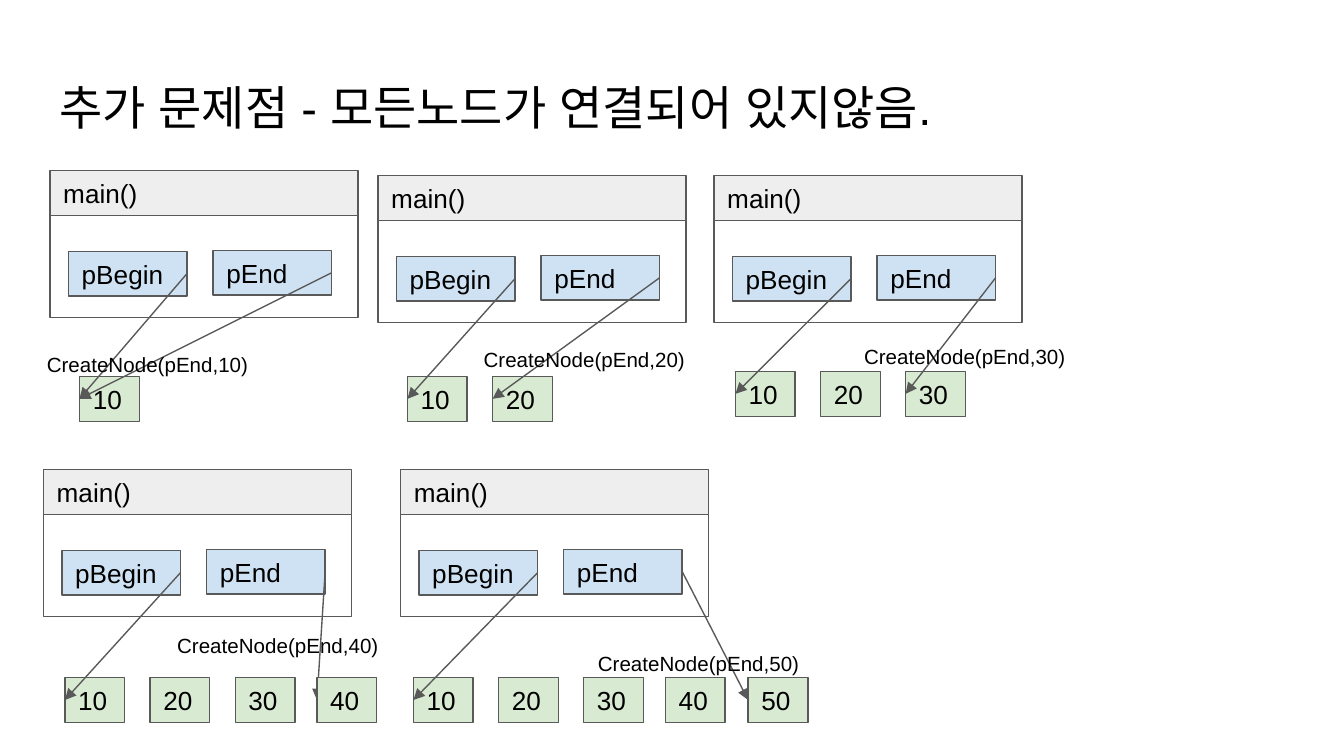
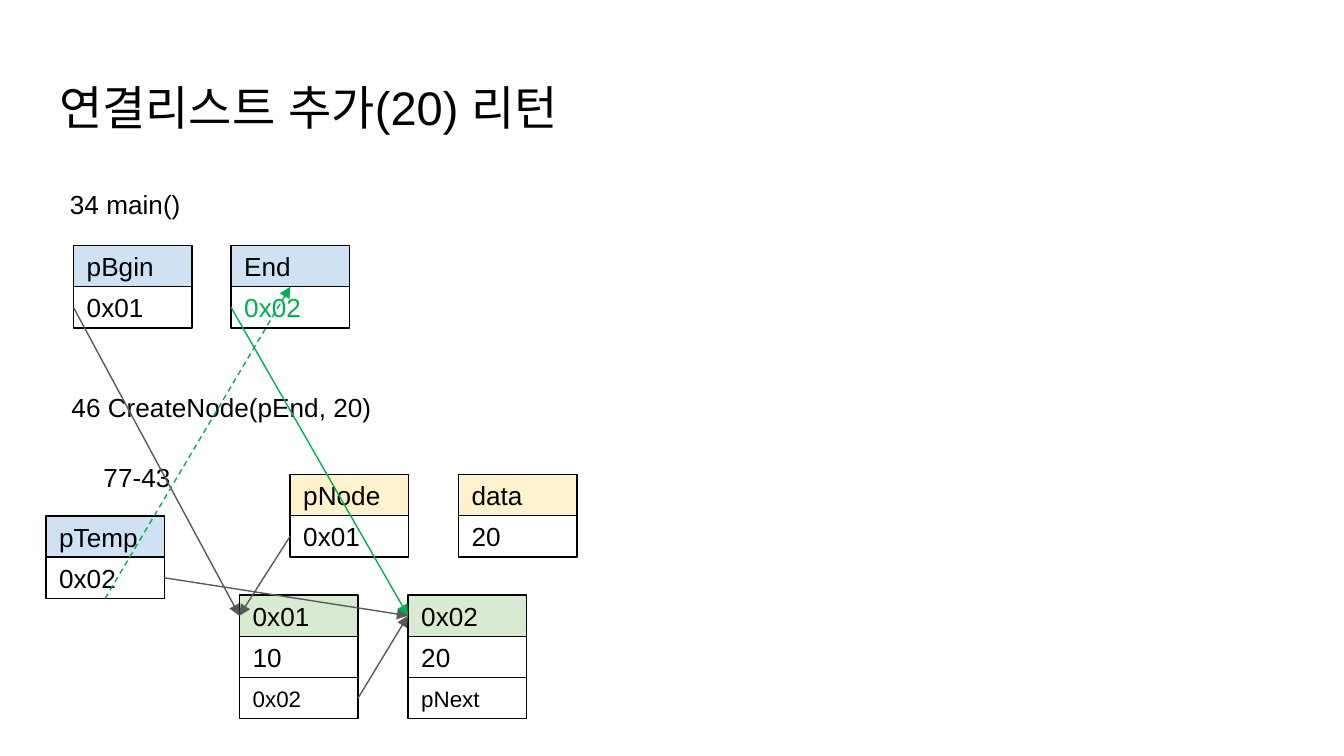
from lxml import etree
from pptx import Presentation
from pptx.dml.color import RGBColor
from pptx.enum.dml import MSO_LINE
from pptx.enum.shapes import MSO_CONNECTOR, MSO_SHAPE
from pptx.enum.text import MSO_ANCHOR, MSO_AUTO_SIZE, PP_ALIGN
from pptx.oxml.ns import qn
from pptx.util import Pt

RECTANGLE = MSO_SHAPE.RECTANGLE
STRAIGHT = MSO_CONNECTOR.STRAIGHT
DASH = MSO_LINE.DASH
LEFT_ALIGN = PP_ALIGN.LEFT
TOP_ANCHOR, MIDDLE_ANCHOR = MSO_ANCHOR.TOP, MSO_ANCHOR.MIDDLE
NO_FIT, GROW = MSO_AUTO_SIZE.NONE, MSO_AUTO_SIZE.SHAPE_TO_FIT_TEXT

# Shared style
FONT = "Arial"
BLACK, WHITE, DARK_GRAY, LIGHT_GRAY = "000000", "FFFFFF", "595959", "EEEEEE"
BLUE, GREEN, YELLOW, BRIGHT_GREEN = "CFE2F3", "D9EAD3", "FFF2CC", "00B050"
INSET = 7.2

# Connection sites of a rectangle
TOP, LEFT, BOTTOM, RIGHT = range(4)

# Sizes of the boxes
FRAME_WIDTH, HEADER_HEIGHT, BODY_HEIGHT = 165, 24, 54.8
POINTER_WIDTH, NODE_WIDTH, NODE_HEIGHT = 63.5, 32, 24
CELL_HEIGHT = 22.1
NODE_OFFSETS = (0, 45.6, 91.2, 135, 179.3)

# Calls: frame position, first node position, caption position
CALLS = [
    ((26.8, 91.3), (42.6, 201.7), (18, 182.2)),
    ((202.5, 94), (218.3, 201.7), (252, 179.3)),
    ((382.5, 94), (394, 199), (455.8, 177.8)),
    ((23.3, 251.5), (34.8, 363), (87.8, 332.6)),
    ((214.6, 251.5), (221.5, 363), (313.2, 342)),
]


def color(value):
    return RGBColor.from_string(value)


def set_text(shape, text, size, font_color=BLACK, anchor=TOP_ANCHOR, fit=NO_FIT):
    frame = shape.text_frame
    frame.word_wrap = True
    frame.auto_size = fit
    frame.vertical_anchor = anchor
    frame.margin_left = frame.margin_right = Pt(INSET)
    frame.margin_top = frame.margin_bottom = Pt(INSET)
    para = frame.paragraphs[0]
    para.alignment = LEFT_ALIGN
    span = para.add_run()
    span.text = text
    span.font.name = FONT
    span.font.size = Pt(size)
    span.font.color.rgb = color(font_color)
    # East Asian letters use the same font setting
    etree.SubElement(span.font._element, qn("a:ea"), typeface=FONT)


def add_page(deck, title):
    page = deck.slides.add_slide(deck.slide_layouts[5])
    box = page.shapes.title
    box.left, box.top, box.width, box.height = Pt(24.5), Pt(35), Pt(671), Pt(45)
    set_text(box, title, 25.2)
    return page


def add_label(page, text, left, top, width, height, size=14):
    box = page.shapes.add_textbox(Pt(left), Pt(top), Pt(width), Pt(height))
    set_text(box, text, size, fit=GROW)


def add_box(page, left, top, width, height, fill, text="", line=DARK_GRAY,
            size=14, font_color=BLACK):
    box = page.shapes.add_shape(RECTANGLE, Pt(left), Pt(top), Pt(width), Pt(height))
    box.shadow.inherit = False
    box.fill.solid()
    box.fill.fore_color.rgb = color(fill)
    box.line.color.rgb = color(line)
    box.line.width = Pt(0.75)
    if text:
        set_text(box, text, size, font_color, MIDDLE_ANCHOR)
    return box


def add_arrow(page, start, start_site, end, end_site, line=DARK_GRAY, dashed=False):
    arrow = page.shapes.add_connector(STRAIGHT, 0, 0, 0, 0)
    arrow.begin_connect(start, start_site)
    arrow.end_connect(end, end_site)
    arrow.line.color.rgb = color(line)
    arrow.line.width = Pt(0.75)
    if dashed:
        arrow.line.dash_style = DASH
    properties = arrow._element.spPr
    etree.SubElement(properties.find(qn("a:ln")), qn("a:tailEnd"), type="triangle")
    etree.SubElement(properties, qn("a:effectLst"))


def add_main_frame(page, left, top):
    """Draw a main() frame and return its two pointer boxes."""
    add_box(page, left, top, FRAME_WIDTH, HEADER_HEIGHT, LIGHT_GRAY, "main()")
    add_box(page, left, top + HEADER_HEIGHT, FRAME_WIDTH, BODY_HEIGHT, WHITE)
    return [
        add_box(page, left + across, top + down, POINTER_WIDTH, NODE_HEIGHT, BLUE, name)
        for name, across, down in (("pBegin", 9.9, 43.3), ("pEnd", 87.4, 42.8))
    ]


def add_call(page, count, frame_at, nodes_at, caption_at):
    """Draw the state after the call that creates the node number `count`."""
    begin, end = add_main_frame(page, *frame_at)
    left, top = nodes_at
    nodes = [
        add_box(page, left + offset, top, NODE_WIDTH, NODE_HEIGHT, GREEN, str(10 * number))
        for number, offset in enumerate(NODE_OFFSETS[:count], 1)
    ]
    add_arrow(page, begin, RIGHT, nodes[0], LEFT)
    add_arrow(page, end, RIGHT, nodes[-1], LEFT)
    if count > 3:
        # The last node lies above its arrowhead
        page.shapes._spTree.append(nodes[-1]._element)
    add_label(page, f"CreateNode(pEnd,{10 * count})", *caption_at, 123, 28, 11)


def add_stack(page, left, top, fill, name, *values, value_color=BLACK):
    """Draw a named cell with its values below and return all cells."""
    cells = [add_box(page, left, top, POINTER_WIDTH, CELL_HEIGHT, fill, name, BLACK)]
    for row, value in enumerate(values, 1):
        size = 12 if row == 2 else 14
        cells.append(add_box(page, left, top + row * CELL_HEIGHT, POINTER_WIDTH,
                             CELL_HEIGHT, WHITE, value, BLACK, size, value_color))
    return cells


def build_unlinked_nodes(deck):
    page = add_page(deck, "추가 문제점 - 모든노드가 연결되어 있지않음.")
    for count, places in enumerate(CALLS, 1):
        add_call(page, count, *places)


def build_linked_list(deck):
    page = add_page(deck, "연결리스트 추가(20) 리턴")

    # Captions
    add_label(page, "34 main()", 30.4, 93.8, 395, 31.5)
    add_label(page, "46 CreateNode(pEnd, 20)", 31.2, 202.5, 395, 31.5)
    add_label(page, "77-43", 48.4, 240, 51.2, 31.5)

    # Variables and nodes
    begin = add_stack(page, 39.4, 131.5, BLUE, "pBgin", "0x01")
    end = add_stack(page, 123.8, 131.5, BLUE, "End", "0x02", value_color=BRIGHT_GREEN)
    first = add_stack(page, 128.3, 318.8, GREEN, "0x01", "10", "0x02")
    node = add_stack(page, 155.4, 254.2, YELLOW, "pNode", "0x01")
    add_stack(page, 245.6, 254.2, YELLOW, "data", "20")
    temp = add_stack(page, 24.6, 276.4, BLUE, "pTemp", "0x02")
    second = add_stack(page, 218.6, 318.8, GREEN, "0x02", "20", "pNext")

    # Addresses point at nodes
    add_arrow(page, begin[1], LEFT, first[0], LEFT)
    add_arrow(page, temp[1], RIGHT, second[0], LEFT)
    add_arrow(page, node[1], LEFT, first[0], LEFT)
    add_arrow(page, first[2], RIGHT, second[0], LEFT)

    # The returned address
    add_arrow(page, temp[1], BOTTOM, end[1], TOP, BRIGHT_GREEN, dashed=True)
    add_arrow(page, end[1], LEFT, second[0], LEFT, BRIGHT_GREEN)


def main():
    deck = Presentation()
    deck.slide_width, deck.slide_height = Pt(720), Pt(405)
    build_unlinked_nodes(deck)
    build_linked_list(deck)
    deck.save("out.pptx")


if __name__ == "__main__":
    main()
